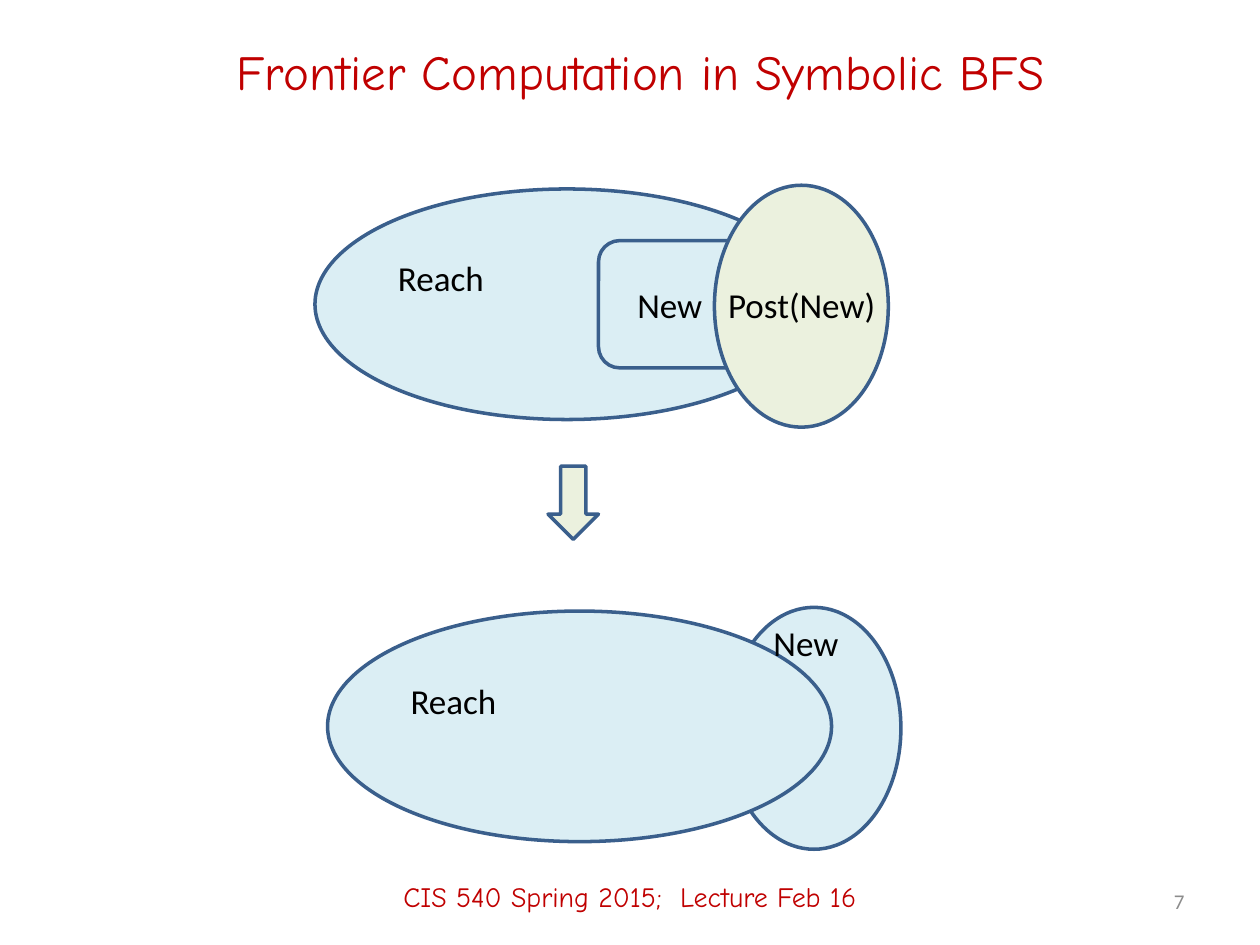
from pptx import Presentation
from pptx.dml.color import RGBColor
from pptx.enum.shapes import MSO_SHAPE
from pptx.enum.text import MSO_ANCHOR, MSO_AUTO_SIZE, PP_ALIGN
from pptx.util import Inches, Pt

COLORS = {
    "heading": "C00000",
    "label": "000000",
    "number": "8C8C8C",
    "outline": "3A5F8C",
    "reached": "DBEEF4",
    "post": "EBF1DE",
}
REACH_SIZE = (4, 1.83)
POST_SIZE = (1.38, 1.92)


def color(name):
    return RGBColor.from_string(COLORS[name])


def add_region(shapes, kind, left, top, size, fill):
    """Outlined, filled shape standing for a set of states."""
    region = shapes.add_shape(kind, Inches(left), Inches(top), *map(Inches, size))
    region.shadow.inherit = False
    region.fill.solid()
    region.fill.fore_color.rgb = color(fill)
    region.line.color.rgb = color("outline")
    region.line.width = Pt(2)


def write(box, text, size, font, ink, align):
    paragraph = box.text_frame.paragraphs[0]
    paragraph.alignment = align
    run = paragraph.add_run()
    run.text = text
    run.font.size = Pt(size)
    run.font.name = font
    run.font.color.rgb = color(ink)


def add_label(shapes, text, left, top, width, fill=None):
    """Name of a set, on one line."""
    label = shapes.add_textbox(Inches(left), Inches(top), Inches(width), Inches(0.44))
    label.text_frame.word_wrap = False
    label.text_frame.auto_size = MSO_AUTO_SIZE.SHAPE_TO_FIT_TEXT
    if fill:
        label.fill.solid()
        label.fill.fore_color.rgb = color(fill)
    write(label, text, 20, "Calibri", "label", PP_ALIGN.LEFT)


def add_caption(shapes, text, left, top, width, height, size,
                font="Comic Neue", ink="heading", align=PP_ALIGN.CENTER):
    """Title, footer or slide number, centred vertically."""
    caption = shapes.add_textbox(*map(Inches, (left, top, width, height)))
    caption.text_frame.word_wrap = True
    caption.text_frame.vertical_anchor = MSO_ANCHOR.MIDDLE
    write(caption, text, size, font, ink, align)


def add_before(slide):
    """Sets before the step: Post(New) overlaps Reach and New."""
    reach = slide.shapes.add_group_shape().shapes
    add_region(reach, MSO_SHAPE.OVAL, 2.5, 1.5, REACH_SIZE, "reached")
    add_label(reach, "Reach", 3.06, 1.99, 1.19)

    new = slide.shapes.add_group_shape().shapes
    add_region(new, MSO_SHAPE.ROUNDED_RECTANGLE, 4.75, 1.91, (1.25, 1.01), "reached")
    add_label(new, "New", 4.96, 2.2, 0.83)

    post = slide.shapes.add_group_shape().shapes
    add_region(post, MSO_SHAPE.OVAL, 5.67, 1.47, POST_SIZE, "post")
    add_label(post, "Post(New)", 5.68, 2.2, 1.38)


def add_after(slide):
    """Sets after the step: the new frontier lies outside Reach."""
    result = slide.shapes.add_group_shape().shapes
    add_region(result, MSO_SHAPE.OVAL, 5.77, 4.82, POST_SIZE, "reached")
    add_region(result, MSO_SHAPE.OVAL, 2.6, 4.85, REACH_SIZE, "reached")
    add_label(result, "Reach", 3.16, 5.34, 1.19, fill="reached")
    add_label(result, "New", 6.04, 4.88, 0.83)


def main():
    deck = Presentation()
    deck.slide_width, deck.slide_height = Inches(10), Inches(7.5)
    slide = deck.slides.add_slide(deck.slide_layouts[6])

    # Title
    add_caption(slide.shapes, "Frontier Computation in Symbolic BFS",
                0.67, 0.17, 8.83, 0.78, 28)

    # Diagram
    add_before(slide)
    add_after(slide)
    add_region(slide.shapes, MSO_SHAPE.DOWN_ARROW, 4.35, 3.7, (0.4, 0.58), "post")

    # Footer and slide number
    add_caption(slide.shapes, "CIS 540 Spring 2015;  Lecture Feb 16",
                0, 6.72, 10, 0.78, 16)
    add_caption(slide.shapes, "7", 7.17, 6.95, 2.33, 0.4, 12,
                "Calibri", "number", PP_ALIGN.RIGHT)

    deck.save("out.pptx")


if __name__ == "__main__":
    main()
